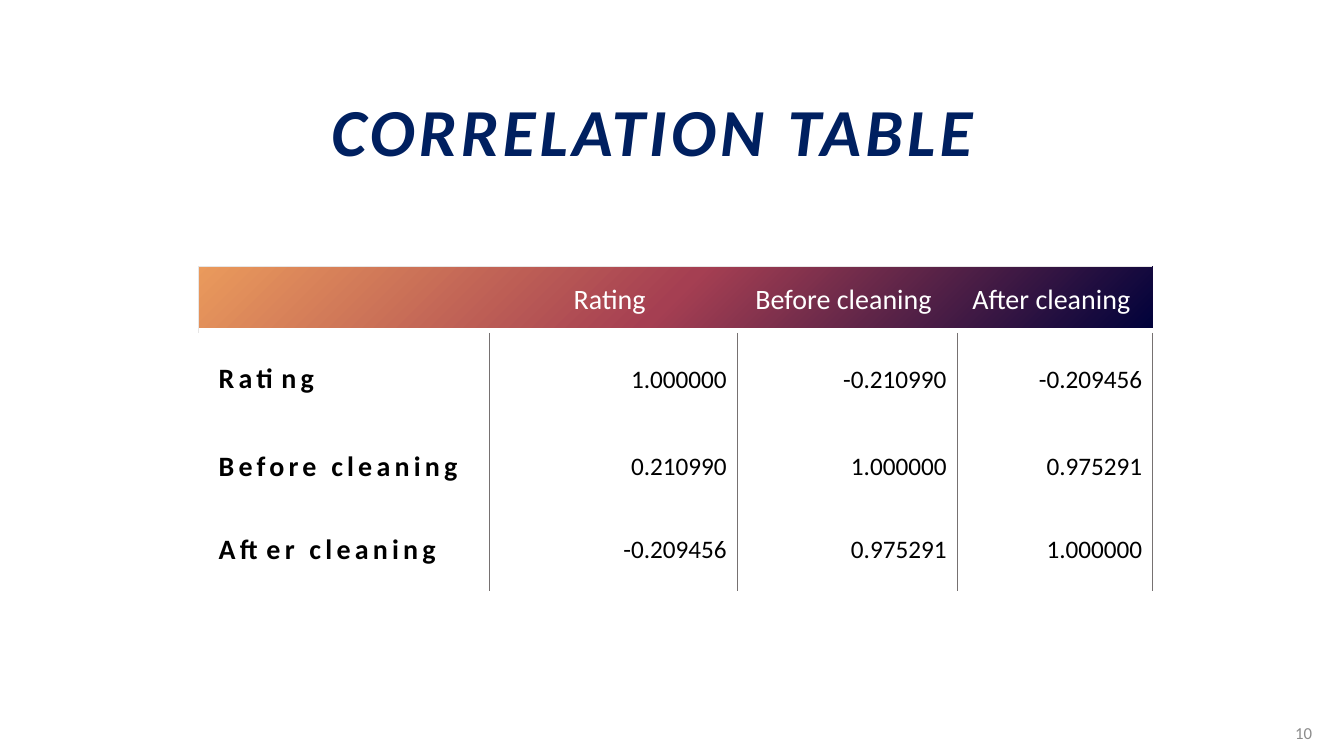
from lxml import etree
from pptx import Presentation
from pptx.dml.color import RGBColor
from pptx.enum.shapes import MSO_SHAPE
from pptx.enum.text import MSO_ANCHOR as Anchor, PP_ALIGN as Align
from pptx.oxml import parse_xml
from pptx.oxml.ns import nsdecls, qn
from pptx.util import Cm, Pt

TITLE = "CORRELATION TABLE"
PAGE_NUMBER = "10"
HEADERS = ["", "Rating ", "Before cleaning ", "After cleaning "]
ROWS = [
    ("Rating", "1.000000", "-0.210990", "-0.209456"),
    ("Before cleaning", "0.210990", "1.000000", "0.975291"),
    ("After cleaning", "-0.209456", "0.975291", "1.000000"),
]

SLIDE_SIZE = (33.87, 19.05)
TITLE_BOX = (1.65, 2.13, 30.56, 2.29)
NUMBER_BOX = (32.08, 17.96, 1.24, 1.02)
TABLE_LEFT, TABLE_TOP = 5.0, 6.71
BAND_HEIGHT = 1.55
COLUMN_WIDTHS = [7.32, 6.25, 5.54, 4.93]
ROW_HEIGHTS = [1.68, 2.34, 2.08, 2.08]
LABEL_INDENT = 0.51
TITLE_RIGHT_INSET = 1.22


class Theme:
    font = "Calibri"
    band = [(0, "01023B"), (50, "A53F52"), (100, "EA9A5C")]
    header_line = ("E7E6E6", 0.5)
    body_line = ("767171", 0.25)
    title = {"size": 48, "color": "002060", "bold": True, "italic": True, "spacing": 3}
    header = {"size": 20, "color": "FFFFFF"}
    label = {"size": 20, "color": "000000", "bold": True, "spacing": 3}
    value = {"size": 18, "color": "000000"}
    number = {"size": 12, "color": "8C8C8C"}


def write(frame, text, style, align):
    paragraph = frame.paragraphs[0]
    paragraph.alignment = align
    run = paragraph.add_run()
    run.text = text
    formats = {
        "name": Theme.font,
        "size": Pt(style["size"]),
        "bold": style.get("bold", False),
        "italic": style.get("italic", False),
    }
    for name, value in formats.items():
        setattr(run.font, name, value)
    run.font.color.rgb = RGBColor.from_string(style["color"])
    run.font._element.set("spc", str(style.get("spacing", 0) * 100))


def add_text(slide, box, text, style, align, **frame_formats):
    frame = slide.shapes.add_textbox(*map(Cm, box)).text_frame
    formats = {"word_wrap": True, "vertical_anchor": Anchor.MIDDLE, **frame_formats}
    for name, value in formats.items():
        setattr(frame, name, value)
    write(frame, text, style, align)


def add_header_band(slide):
    """Draw the radial gradient that lies behind the table's header row."""
    box = (TABLE_LEFT, TABLE_TOP, sum(COLUMN_WIDTHS), BAND_HEIGHT)
    band = slide.shapes.add_shape(MSO_SHAPE.RECTANGLE, *map(Cm, box))
    band.shadow.inherit = False
    band.line.fill.background()
    stops = "".join(
        f'<a:gs pos="{position * 1000}"><a:srgbClr val="{color}"/></a:gs>'
        for position, color in Theme.band
    )
    gradient = parse_xml(
        f'<a:gradFill {nsdecls("a")} rotWithShape="1"><a:gsLst>{stops}</a:gsLst>'
        '<a:path path="circle"><a:fillToRect l="100000" t="100000"/></a:path></a:gradFill>'
    )
    band._element.spPr.find(qn("a:prstGeom")).addnext(gradient)


def set_borders(cell, lines):
    """Draw the given sides (L, R, T, B) and clear the others."""
    properties = cell._tc.get_or_add_tcPr()
    for side in "LRTB":
        color, width = lines.get(side, (None, 0))
        border = etree.SubElement(properties, qn(f"a:ln{side}"), w=str(int(Pt(width))))
        if color:
            fill = etree.SubElement(border, qn("a:solidFill"))
            etree.SubElement(fill, qn("a:srgbClr"), val=color)
        else:
            etree.SubElement(border, qn("a:noFill"))


def cell_lines(row, column):
    if row == 0:
        return dict.fromkeys("T" if column else "LT", Theme.header_line)
    return dict.fromkeys("LR" if column else "R", Theme.body_line)


def cell_style(row, column):
    if row == 0:
        return Theme.header, Align.CENTER
    return (Theme.value, Align.RIGHT) if column else (Theme.label, Align.LEFT)


def add_correlation_table(slide):
    box = (TABLE_LEFT, TABLE_TOP, sum(COLUMN_WIDTHS), sum(ROW_HEIGHTS))
    table = slide.shapes.add_table(
        len(ROW_HEIGHTS), len(COLUMN_WIDTHS), *map(Cm, box)
    ).table
    for flag in ("first_row", "horz_banding"):
        setattr(table, flag, False)
    for column, width in zip(table.columns, COLUMN_WIDTHS):
        column.width = Cm(width)
    for row, height in zip(table.rows, ROW_HEIGHTS):
        row.height = Cm(height)
    for r, texts in enumerate([HEADERS, *ROWS]):
        for c, text in enumerate(texts):
            cell = table.cell(r, c)
            set_borders(cell, cell_lines(r, c))
            cell.fill.background()
            cell.vertical_anchor = Anchor.MIDDLE
            if r and c == 0:
                cell.margin_left = Cm(LABEL_INDENT)
            if text:
                write(cell.text_frame, text, *cell_style(r, c))


def main():
    presentation = Presentation()
    presentation.slide_width, presentation.slide_height = map(Cm, SLIDE_SIZE)
    slide = presentation.slides.add_slide(presentation.slide_layouts[6])
    add_header_band(slide)
    add_text(slide, TITLE_BOX, TITLE, Theme.title, Align.CENTER,
             margin_right=Cm(TITLE_RIGHT_INSET))
    add_correlation_table(slide)
    add_text(slide, NUMBER_BOX, PAGE_NUMBER, Theme.number, Align.RIGHT)
    presentation.save("out.pptx")


if __name__ == "__main__":
    main()
